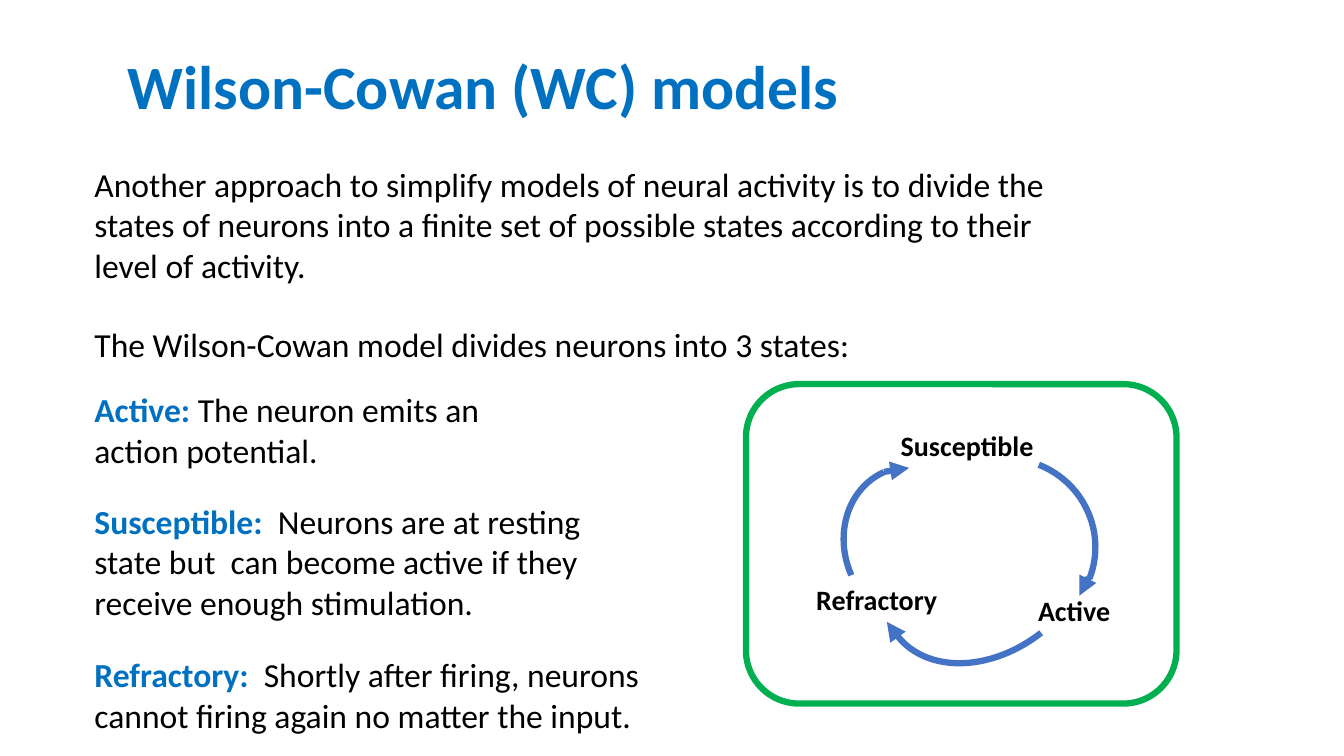
from pptx import Presentation
from pptx.dml.color import RGBColor
from pptx.enum.shapes import MSO_CONNECTOR, MSO_SHAPE
from pptx.enum.text import MSO_ANCHOR, MSO_AUTO_SIZE, PP_ALIGN
from pptx.oxml.ns import qn
from pptx.util import Cm, Pt
from lxml import etree

BLUE = RGBColor(0x00, 0x70, 0xC0)
BLACK = RGBColor(0x00, 0x00, 0x00)
ARROW_BLUE = RGBColor(0x44, 0x72, 0xC4)
GREEN = RGBColor(0x00, 0xB0, 0x50)
TEXT_LEFT = 2.13


def format_run(run, size, color, bold=False):
    run.font.name = "Calibri"
    run.font.size = Pt(size)
    run.font.color.rgb = color
    run.font.bold = bold


def add_outline(shape_type, left, top, width, height, color):
    shape = slide.shapes.add_shape(
        shape_type, Cm(left), Cm(top), Cm(width), Cm(height))
    shape.shadow.inherit = False
    shape.fill.background()
    shape.line.color.rgb = color
    shape.line.width = Pt(4.5)
    return shape


presentation = Presentation()
presentation.slide_width = Cm(33.87)
presentation.slide_height = Cm(19.05)
slide = presentation.slides.add_slide(presentation.slide_layouts[5])

# Title
title = slide.shapes.title
title.left, title.top, title.width, title.height = (
    Cm(2.97), Cm(0.41), Cm(29.21), Cm(3.68))
title.text_frame.text = "Wilson-Cowan (WC) models"
title.text_frame.auto_size = MSO_AUTO_SIZE.NONE
title.text_frame.vertical_anchor = MSO_ANCHOR.MIDDLE
paragraph = title.text_frame.paragraphs[0]
paragraph.alignment = PP_ALIGN.LEFT
paragraph.line_spacing = 0.9
format_run(paragraph.runs[0], 44, BLUE, True)

# Introduction and state descriptions: top, width, height, term, text
descriptions = [
    (4.01, 24.46, 3.33, "",
     "Another approach to simplify models of neural activity is to divide the "
     "states of neurons into a finite set of possible states according to "
     "their level of activity."),
    (8.03, 22.1, 1.27, "",
     "The Wilson-Cowan model divides neurons into 3 states:"),
    (9.68, 11.68, 2.31, "Active: ",
     "The neuron emits an action potential."),
    (12.5, 13, 3.33, "Susceptible:  ",
     "Neurons are at resting state but  can become active if they receive "
     "enough stimulation."),
    (16.36, 14.48, 2.31, "Refractory:  ",
     "Shortly after firing, neurons cannot firing again no matter the input."),
]
for top, width, height, term, text in descriptions:
    text_box = slide.shapes.add_textbox(
        Cm(TEXT_LEFT), Cm(top), Cm(width), Cm(height))
    text_box.text_frame.word_wrap = True
    paragraph = text_box.text_frame.paragraphs[0]
    for part, color, bold in ((term, BLUE, True), (text, BLACK, False)):
        if part:
            run = paragraph.add_run()
            run.text = part
            format_run(run, 24, color, bold)

# State labels in the cycle: name, left, top, width
state_labels = [
    ("Susceptible", 22.45, 10.67, 3.89),
    ("Active", 25.91, 14.83, 2.36),
    ("Refractory", 20.32, 14.55, 4.06),
]
for name, left, top, width in state_labels:
    label = slide.shapes.add_textbox(Cm(left), Cm(top), Cm(width), Cm(1.12))
    label.text_frame.text = name
    label.text_frame.word_wrap = name == "Refractory"
    format_run(label.text_frame.paragraphs[0].runs[0], 20, BLACK, True)

# Curved transitions: arc box, rotation, arrow start and end
transitions = [
    ((23.14, 11.56, 4.47, 4.42), 21.4, (27.43, 14.55, 27.2, 15.01)),
    ((21.06, 11.96, 4.09, 3.61), 246.2, (22.28, 11.89, 22.91, 11.79)),
    ((22, 12.07, 5.79, 4.34), 141.8, (22.61, 16.03, 22.35, 15.67)),
]
for arc_box, rotation, arrow_points in transitions:
    arc = add_outline(MSO_SHAPE.ARC, *arc_box, ARROW_BLUE)
    arc.rotation = rotation
    arrow = slide.shapes.add_connector(
        MSO_CONNECTOR.STRAIGHT, *[Cm(value) for value in arrow_points])
    arrow.line.color.rgb = ARROW_BLUE
    arrow.line.width = Pt(4.5)
    line_xml = arrow.line._get_or_add_ln()
    etree.SubElement(line_xml, qn("a:tailEnd")).set("type", "triangle")
    etree.SubElement(arrow._element.spPr, qn("a:effectLst"))

# Frame around the cycle
add_outline(MSO_SHAPE.ROUNDED_RECTANGLE, 18.8, 9.68, 10.85, 8.05, GREEN)

presentation.save("out.pptx")
